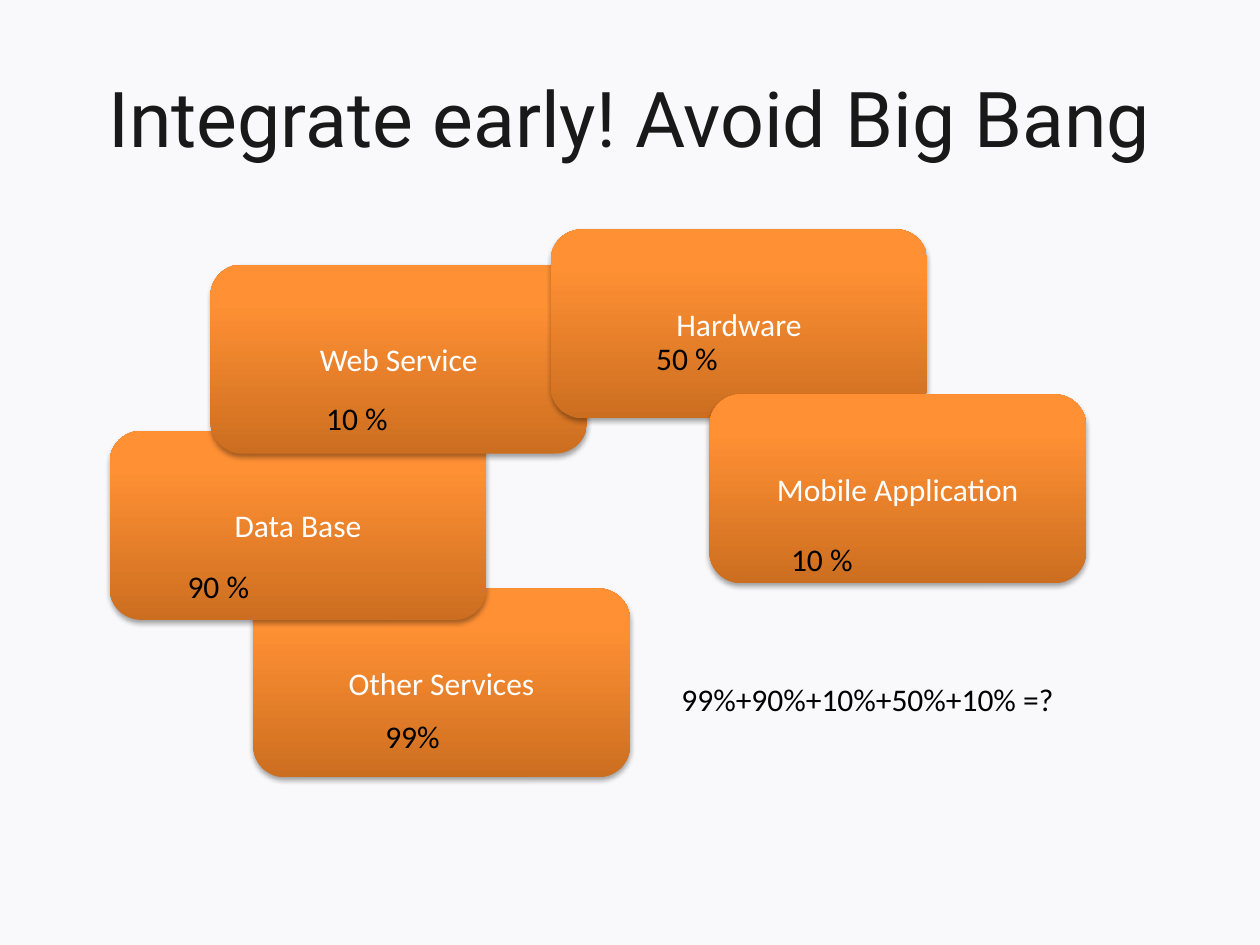
import copy

import pptx
import pptx.dml.color
import pptx.enum.shapes
import pptx.enum.text
import pptx.oxml
import pptx.oxml.ns
import pptx.util
from pptx.util import Inches

COLORS = {
    "background": "F9F9FB",
    "title": "191919",
    "part_name": "FFFFFF",
    "percent": "000000",
}
# Position in percent and colour, from the bottom of a card to its top
CARD_GRADIENT = [(0, "CC6E20"), (80, "FF9034"), (100, "FF9136")]
CARD_SIZE = (2.99, 1.5)
LABEL_HEIGHT = 0.4

TITLE_FONT = {"name": "Roboto", "size": pptx.util.Pt(44)}
BODY_FONT = {"name": "Calibri", "size": pptx.util.Pt(18)}

# Name, left, top; from back to front
SYSTEM_PARTS = [
    ("Other Services", 2.01, 4.67),
    ("Data Base", 0.87, 3.42),
    ("Web Service", 1.67, 2.1),
    ("Hardware", 4.37, 1.82),
    ("Mobile Application", 5.63, 3.13),
]
# Text, left, top, width
PERCENTAGES = [
    ("10 %", 2.49, 3.12, 1.63),
    ("50 %", 5.11, 2.64, 1.63),
    ("90 %", 1.39, 4.45, 1.63),
    ("99%", 2.96, 5.64, 0.7),
    ("10 %", 6.18, 4.24, 1.63),
    ("99%+90%+10%+50%+10% =?", 5.31, 5.35, 3.63),
]

SHADOW_XML = (
    f'<a:outerShdw {pptx.oxml.ns.nsdecls("a")} blurRad="{pptx.util.Pt(3.1)}" '
    f'dist="{pptx.util.Pt(1.8)}" dir="5400000" rotWithShape="0">'
    '<a:srgbClr val="000000"><a:alpha val="35000"/></a:srgbClr></a:outerShdw>'
)


def rgb(color):
    return pptx.dml.color.RGBColor.from_string(COLORS[color])


def write(frame, text, font, color, align, anchor):
    frame.word_wrap = True
    frame.vertical_anchor = anchor
    paragraph = frame.paragraphs[0]
    paragraph.alignment = align
    run = paragraph.add_run()
    run.text = text
    for attribute, value in font.items():
        setattr(run.font, attribute, value)
    run.font.color.rgb = rgb(color)


def fill_gradient(shape):
    shape.fill.gradient()
    shape.fill.gradient_angle = 90
    stops = shape.fill._fill._gradFill.find(pptx.oxml.ns.qn("a:gsLst"))
    stops.append(copy.deepcopy(stops[-1]))
    for stop, (percent, color) in zip(shape.fill.gradient_stops, CARD_GRADIENT):
        stop.position = percent / 100
        stop.color.rgb = pptx.dml.color.RGBColor.from_string(color)


def add_shadow(shape):
    shape.shadow.inherit = False
    effects = shape._element.spPr.find(pptx.oxml.ns.qn("a:effectLst"))
    effects.append(pptx.oxml.parse_xml(SHADOW_XML))


def add_card(slide, name, left, top):
    card = slide.shapes.add_shape(
        pptx.enum.shapes.MSO_SHAPE.ROUNDED_RECTANGLE,
        *map(Inches, (left, top, *CARD_SIZE)))
    fill_gradient(card)
    card.line.fill.background()
    add_shadow(card)
    write(card.text_frame, name, BODY_FONT, "part_name",
          pptx.enum.text.PP_ALIGN.CENTER, pptx.enum.text.MSO_ANCHOR.MIDDLE)


def add_title(slide, text):
    title = slide.shapes.add_textbox(*map(Inches, (0.5, 0.3, 9, 1.25)))
    write(title.text_frame, text, TITLE_FONT, "title",
          pptx.enum.text.PP_ALIGN.CENTER, pptx.enum.text.MSO_ANCHOR.MIDDLE)


def add_label(slide, text, left, top, width):
    label = slide.shapes.add_textbox(
        *map(Inches, (left, top, width, LABEL_HEIGHT)))
    write(label.text_frame, text, BODY_FONT, "percent",
          pptx.enum.text.PP_ALIGN.LEFT, pptx.enum.text.MSO_ANCHOR.TOP)
    label.text_frame.auto_size = pptx.enum.text.MSO_AUTO_SIZE.SHAPE_TO_FIT_TEXT


def main():
    deck = pptx.Presentation()
    deck.slide_width, deck.slide_height = Inches(10), Inches(7.5)
    slide = deck.slides.add_slide(deck.slide_layouts[6])
    slide.background.fill.solid()
    slide.background.fill.fore_color.rgb = rgb("background")

    # Title
    add_title(slide, "Integrate early! Avoid Big Bang")

    # Overlapping parts of the system
    for part in SYSTEM_PARTS:
        add_card(slide, *part)

    # Progress of each part and their sum
    for percentage in PERCENTAGES:
        add_label(slide, *percentage)

    deck.save("out.pptx")


if __name__ == "__main__":
    main()
